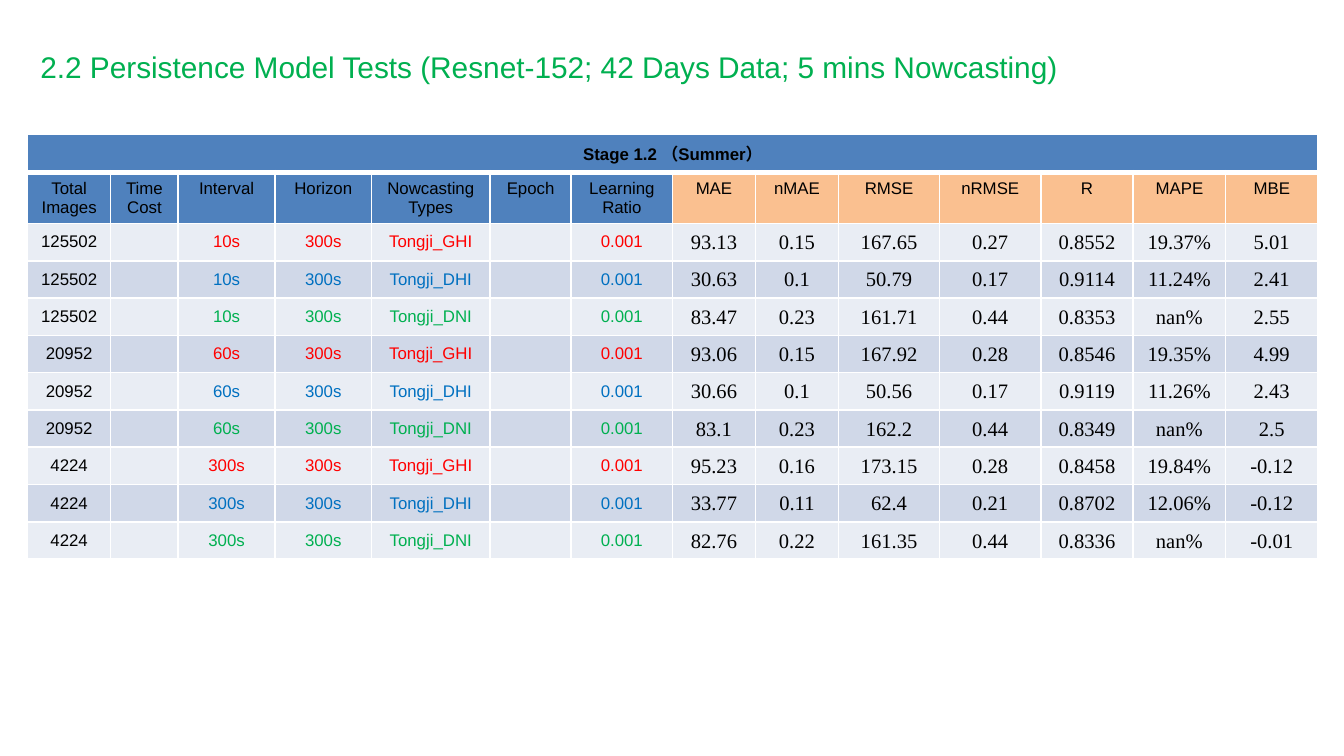
from lxml.etree import SubElement
from pptx import Presentation
from pptx.dml.color import RGBColor
from pptx.enum.text import MSO_ANCHOR, MSO_AUTO_SIZE, PP_ALIGN
from pptx.oxml.ns import qn
from pptx.util import Pt

COLORS = {
    "black": "000000", "white": "FFFFFF", "green": "00B050",
    "red": "FF0000", "blue": "0070C0", "setting": "4F81BD",
    "metric": "FAC090", "light": "E9EDF4", "dark": "D0D8E8",
}
TITLE = "2.2 Persistence Model Tests (Resnet-152; 42 Days Data; 5 mins Nowcasting)"
STAGE = "Stage 1.2 （Summer）"
HEADERS = [
    "Total\nImages", "Time Cost", "Interval", "Horizon", "Nowcasting\nTypes",
    "Epoch", "Learning Ratio", "MAE", "nMAE", "RMSE", "nRMSE", "R", "MAPE", "MBE",
]
COLUMN_WIDTHS = [44.5, 36.2, 51.8, 51.8, 63.4, 43.6, 54.2,
                 44.5, 44.5, 54.2, 54.2, 49.5, 49.5, 49.5]
ROW_HEIGHT = 20
SETTING_COUNT = 7
SAMPLINGS = [("125502", "10s"), ("20952", "60s"), ("4224", "300s")]
TYPES = [("Tongji_GHI", "red"), ("Tongji_DHI", "blue"), ("Tongji_DNI", "green")]
METRICS = [
    ["93.13", "0.15", "167.65", "0.27", "0.8552", "19.37%", "5.01"],
    ["30.63", "0.1", "50.79", "0.17", "0.9114", "11.24%", "2.41"],
    ["83.47", "0.23", "161.71", "0.44", "0.8353", "nan%", "2.55"],
    ["93.06", "0.15", "167.92", "0.28", "0.8546", "19.35%", "4.99"],
    ["30.66", "0.1", "50.56", "0.17", "0.9119", "11.26%", "2.43"],
    ["83.1", "0.23", "162.2", "0.44", "0.8349", "nan%", "2.5"],
    ["95.23", "0.16", "173.15", "0.28", "0.8458", "19.84%", "-0.12"],
    ["33.77", "0.11", "62.4", "0.21", "0.8702", "12.06%", "-0.12"],
    ["82.76", "0.22", "161.35", "0.44", "0.8336", "nan%", "-0.01"],
]


def add_run(paragraph, text, size, color="black", font="Arial", bold=False):
    """Append one formatted run to a paragraph."""
    run = paragraph.add_run()
    run.text = text
    run.font.name = font
    run.font.size = Pt(size)
    run.font.bold = bold
    run.font.color.rgb = RGBColor.from_string(COLORS[color])


def add_title(slide):
    """Place and fill the title placeholder."""
    title = slide.shapes.title
    title.left, title.top, title.width, title.height = Pt(14.4), Pt(21.6), Pt(578), Pt(33)
    frame = title.text_frame
    frame.auto_size = MSO_AUTO_SIZE.NONE
    frame.word_wrap = True
    frame.vertical_anchor = MSO_ANCHOR.TOP
    frame.margin_top = Pt(4.7)
    paragraph = frame.paragraphs[0]
    paragraph.alignment = PP_ALIGN.LEFT
    add_run(paragraph, TITLE, 16, "green")


def set_borders(cell, top=1, bottom=1):
    """Draw white borders around a cell, with widths in points."""
    properties = cell._tc.get_or_add_tcPr()
    for side, width in (("L", 1), ("R", 1), ("T", top), ("B", bottom)):
        line = SubElement(properties, qn(f"a:ln{side}"), w=str(Pt(width)))
        fill = SubElement(line, qn("a:solidFill"))
        SubElement(fill, qn("a:srgbClr"), val=COLORS["white"])


def fill_cell(cell, text, fill, anchor=MSO_ANCHOR.MIDDLE, size=9, **run_format):
    """Colour a cell and write its centred lines."""
    cell.fill.solid()
    cell.fill.fore_color.rgb = RGBColor.from_string(COLORS[fill])
    cell.vertical_anchor = anchor
    frame = cell.text_frame
    for index, line in enumerate(text.split("\n")):
        paragraph = frame.add_paragraph() if index else frame.paragraphs[0]
        paragraph.alignment = PP_ALIGN.CENTER
        if line:
            add_run(paragraph, line, size, **run_format)
        else:
            SubElement(paragraph._p, qn("a:endParaRPr"), sz=str(size * 100))


def fill_headers(table):
    """Write the merged stage row and the column headings."""
    for column, heading in enumerate(HEADERS):
        set_borders(table.cell(0, column), bottom=3)
        cell = table.cell(1, column)
        set_borders(cell, top=3)
        fill = "setting" if column < SETTING_COUNT else "metric"
        fill_cell(cell, heading, fill, MSO_ANCHOR.TOP)
    stage = table.cell(0, 0)
    stage.merge(table.cell(0, len(HEADERS) - 1))
    fill_cell(stage, STAGE, "setting", MSO_ANCHOR.TOP, bold=True)


def fill_result(table, index, metrics):
    """Write one test with its settings and metrics."""
    images, interval = SAMPLINGS[index // len(TYPES)]
    kind, color = TYPES[index % len(TYPES)]
    settings = [images, "", interval, "300s", kind, "", "0.001"]
    fill = "dark" if index % 2 else "light"
    for column, text in enumerate(settings + metrics):
        cell = table.cell(index + 2, column)
        set_borders(cell)
        if column < SETTING_COUNT:
            fill_cell(cell, text, fill, color=color if column else "black")
        else:
            cell.margin_left = cell.margin_right = cell.margin_top = Pt(0.7)
            cell.margin_bottom = Pt(0)
            fill_cell(cell, text, fill, size=11, font="Times New Roman")


def add_results_table(slide):
    """Add the table of test results."""
    row_count = len(METRICS) + 2
    frame = slide.shapes.add_table(
        row_count, len(HEADERS), Pt(14.8), Pt(72),
        Pt(sum(COLUMN_WIDTHS)), Pt(ROW_HEIGHT * row_count))
    table = frame.table
    table.first_row = False
    table.horz_banding = False
    for column, width in zip(table.columns, COLUMN_WIDTHS):
        column.width = Pt(width)
    for row in table.rows:
        row.height = Pt(ROW_HEIGHT)
    fill_headers(table)
    for index, metrics in enumerate(METRICS):
        fill_result(table, index, metrics)


def main():
    """Build and save the presentation."""
    presentation = Presentation()
    presentation.slide_width = Pt(720)
    presentation.slide_height = Pt(405)
    slide = presentation.slides.add_slide(presentation.slide_layouts[5])
    add_title(slide)
    add_results_table(slide)
    presentation.save("out.pptx")


if __name__ == "__main__":
    main()
